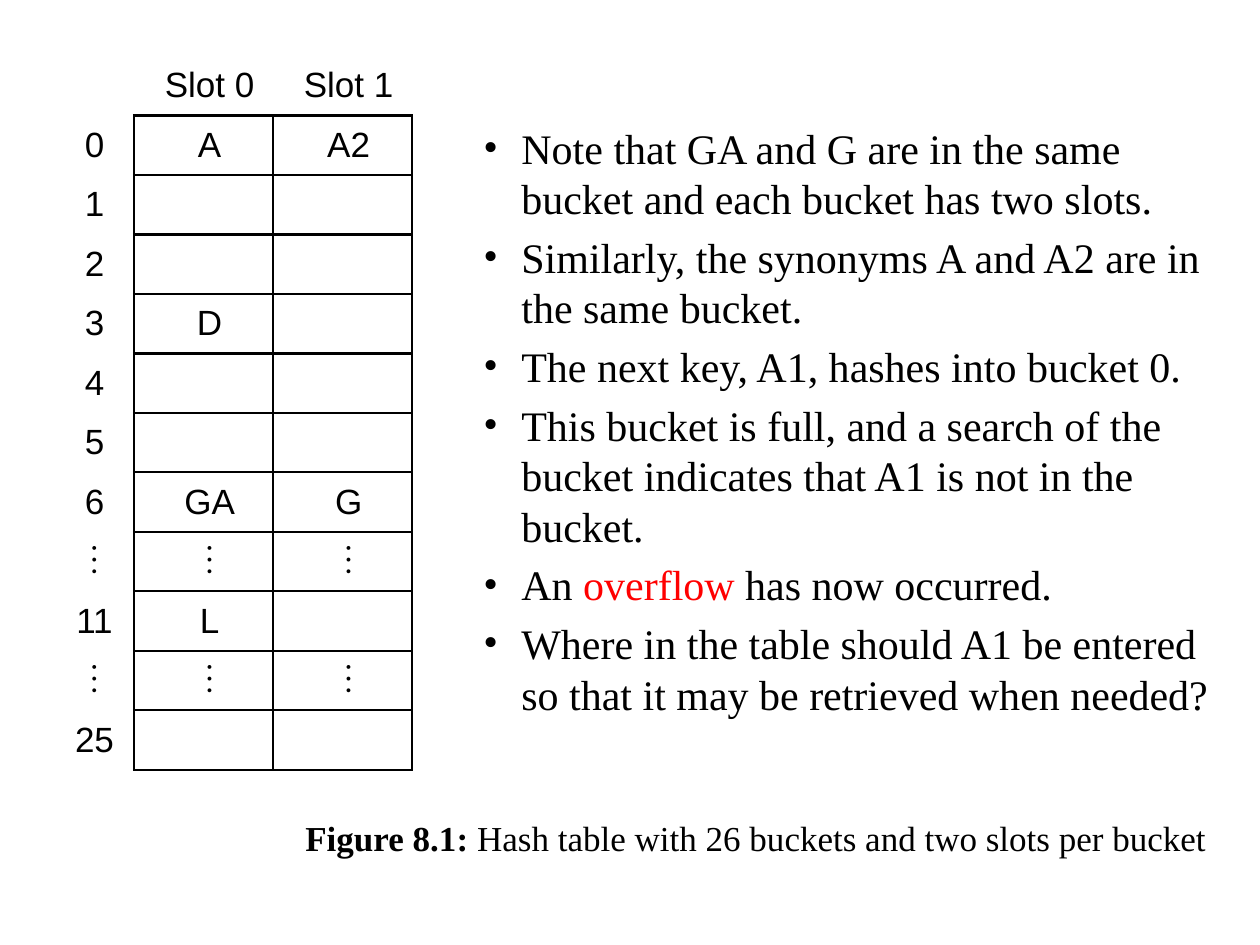
from dataclasses import dataclass

from lxml import etree
from pptx import Presentation
from pptx.dml.color import RGBColor
from pptx.enum.text import MSO_ANCHOR, PP_ALIGN
from pptx.oxml.ns import qn
from pptx.util import Emu, Pt

MIDDLE = MSO_ANCHOR.MIDDLE
CENTER = PP_ALIGN.CENTER
EMU_PER_PX = 914400 / 126
ELLIPSIS = "⋮"


@dataclass(frozen=True)
class Theme:
    black: str = "000000"
    accent: str = "FF0000"
    serif: str = "Times New Roman"
    sans: str = "Arial"
    body_size: int = 24
    small_size: int = 20
    border_width: float = 1.5
    space_before_ratio: float = 0.2


@dataclass(frozen=True)
class Piece:
    text: str
    color: str
    bold: bool = False


@dataclass(frozen=True)
class TextBlock:
    left: int
    top: int
    width: int
    height: int
    size: int
    hanging: int
    bulleted: bool
    paragraphs: list[list[Piece]]


THEME = Theme()


def plain(text: str) -> Piece:
    return Piece(text, THEME.black)


NOTES = TextBlock(471, 116, 754, 615, THEME.body_size, 38, True, [
    [plain("Note that GA and G are in the same bucket and each bucket has two slots.")],
    [plain("Similarly, the synonyms A and A2 are in the same bucket.")],
    [plain("The next key, A1, hashes into bucket 0.")],
    [plain("This bucket is full, and a search of the bucket indicates that A1 is not in the bucket.")],
    [plain("An "), Piece("overflow", THEME.accent), plain(" has now occurred.")],
    [plain("Where in the table should A1 be entered so that it may be retrieved when needed?")],
])
CAPTION = TextBlock(293, 810, 932, 59, THEME.small_size, 48, False, [
    [Piece("Figure 8.1: ", THEME.black, True),
     plain("Hash table with 26 buckets and two slots per bucket")],
])

HASH_TABLE = [
    ("", "Slot 0", "Slot 1"),
    ("0", "A", "A2"),
    ("1", "", ""),
    ("2", "", ""),
    ("3", "D", ""),
    ("4", "", ""),
    ("5", "", ""),
    ("6", "GA", "G"),
    (ELLIPSIS, ELLIPSIS, ELLIPSIS),
    ("11", "L", ""),
    (ELLIPSIS, ELLIPSIS, ELLIPSIS),
    ("25", "", ""),
]
COLUMN_WIDTHS = (79, 139, 139)
TABLE_LEFT, TABLE_TOP, TABLE_HEIGHT = 55, 56, 714
SLOT_INSET = 25


def px(length: float) -> Emu:
    return Emu(round(length * EMU_PER_PX))


def format_run(run, font: str, size: int, color: str, bold: bool = False) -> None:
    run.font.name = font
    run.font.size = Pt(size)
    run.font.bold = bold
    run.font.color.rgb = RGBColor.from_string(color)


def draw_text(slide, block: TextBlock) -> None:
    shape = slide.shapes.add_textbox(
        px(block.left), px(block.top), px(block.width), px(block.height))
    text_frame = shape.text_frame
    text_frame.word_wrap = True
    for index, pieces in enumerate(block.paragraphs):
        paragraph = text_frame.add_paragraph() if index else text_frame.paragraphs[0]
        paragraph.space_before = Pt(block.size * THEME.space_before_ratio)
        properties = paragraph._p.get_or_add_pPr()
        properties.set("marL", str(px(block.hanging)))
        properties.set("indent", str(-px(block.hanging)))
        if block.bulleted:
            etree.SubElement(properties, qn("a:buFont"), typeface=THEME.serif)
            etree.SubElement(properties, qn("a:buChar"), char="•")
        for piece in pieces:
            run = paragraph.add_run()
            run.text = piece.text
            format_run(run, THEME.serif, block.size, piece.color, piece.bold)


def set_borders(cell, visible: str) -> None:
    properties = cell._tc.get_or_add_tcPr()
    for index, side in enumerate("LRTB"):
        line = etree.Element(qn(f"a:ln{side}"), w=str(Pt(THEME.border_width)))
        if side in visible:
            fill = etree.SubElement(line, qn("a:solidFill"))
            etree.SubElement(fill, qn("a:srgbClr"), val=THEME.black)
        else:
            etree.SubElement(line, qn("a:noFill"))
        properties.insert(index, line)


def visible_sides(row: int, column: int) -> str:
    if row and column:
        return "LRTB"
    if row:
        return "R"
    return "B" if column else ""


def draw_hash_table(slide) -> None:
    frame = slide.shapes.add_table(
        len(HASH_TABLE), len(COLUMN_WIDTHS), px(TABLE_LEFT), px(TABLE_TOP),
        px(sum(COLUMN_WIDTHS)), px(TABLE_HEIGHT))
    table = frame.table
    table.first_row = False
    table.horz_banding = False
    for column, width in zip(table.columns, COLUMN_WIDTHS):
        column.width = px(width)
    for row_index, values in enumerate(HASH_TABLE):
        table.rows[row_index].height = px(TABLE_HEIGHT / len(HASH_TABLE))
        for column_index, value in enumerate(values):
            cell = table.cell(row_index, column_index)
            cell.fill.background()
            cell.vertical_anchor = MIDDLE
            if column_index:
                cell.margin_left = px(SLOT_INSET)
            set_borders(cell, visible_sides(row_index, column_index))
            if value:
                cell.text_frame.text = value
                paragraph = cell.text_frame.paragraphs[0]
                paragraph.alignment = CENTER
                font = THEME.serif if value == ELLIPSIS else THEME.sans
                format_run(paragraph.runs[0], font, THEME.small_size, THEME.black)


def main() -> None:
    presentation = Presentation()
    presentation.slide_width = px(1260)
    presentation.slide_height = px(945)
    slide = presentation.slides.add_slide(presentation.slide_layouts[6])
    draw_text(slide, NOTES)
    draw_text(slide, CAPTION)
    draw_hash_table(slide)
    presentation.save("out.pptx")


if __name__ == "__main__":
    main()
